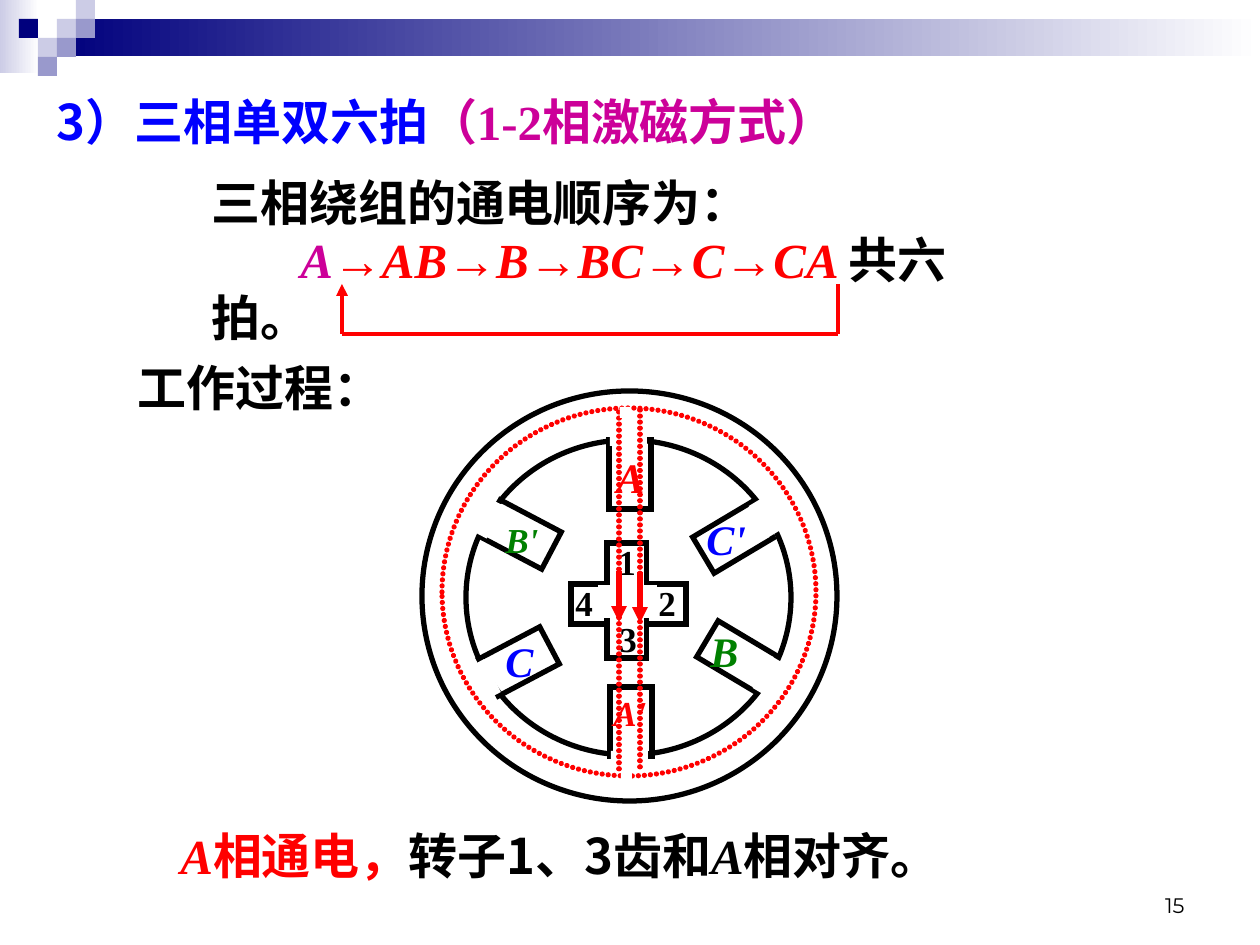
from lxml.etree import SubElement
from pptx import Presentation
from pptx.dml.color import RGBColor
from pptx.enum.shapes import MSO_CONNECTOR as Conn, MSO_SHAPE as Shape
from pptx.enum.text import MSO_ANCHOR as Anchor, PP_ALIGN as Align
from pptx.oxml.ns import qn
from pptx.util import Emu, Pt

HUES = {"ink": "000000", "white": "FFFFFF", "navy": "00007D", "pale": "CCCCE6",
        "mid": "9999CC", "blue": "0000FF", "plum": "CC0099", "red": "FF0000",
        "green": "008000"}
CJK, ROMAN, SANS, PAGE = "Noto Sans CJK SC", "Times New Roman", "Arial", "Montserrat"


def px(n):
    return Emu(round(n * 914400 / 126))


def hue(name):
    return RGBColor.from_string(HUES[name])


def block(slide, kind, x, y, w, h, fill=None, line=None, width=3, turn=0):
    shape = slide.shapes.add_shape(kind, px(x), px(y), px(w), px(h))
    shape.shadow.inherit = False
    shape.rotation = turn
    if isinstance(fill, tuple):
        shape.fill.gradient()
        shape.fill.gradient_angle = 0
        for stop, name, pos in zip(shape.fill.gradient_stops, fill, (0, 1)):
            stop.color.rgb, stop.position = hue(name), pos
    elif fill:
        shape.fill.solid()
        shape.fill.fore_color.rgb = hue(fill)
    else:
        shape.fill.background()
    if line:
        shape.line.color.rgb, shape.line.width = hue(line), Pt(width)
        if kind == Shape.RECTANGLE:
            SubElement(shape.line._get_or_add_ln(), qn("a:miter"), lim="800000")
    else:
        shape.line.fill.background()
    return shape


def link(slide, x1, y1, x2, y2, width=3, head=False):
    line = slide.shapes.add_connector(Conn.STRAIGHT, px(x1), px(y1), px(x2), px(y2))
    line.line.color.rgb, line.line.width = hue("red"), Pt(width)
    if head:
        SubElement(line.line._get_or_add_ln(), qn("a:tailEnd"), type="triangle")
    SubElement(line._element.spPr, qn("a:effectLst"))
    return line


def dot(shape):
    """Draw the line as a row of close round beads."""
    ln = shape.line._get_or_add_ln()
    ln.set("cap", "rnd")
    SubElement(SubElement(ln, qn("a:custDash")), qn("a:ds"), d="100000", sp="15000")


def write(para, runs, size, bold=True):
    for text, font, color, slant in runs:
        run = para.add_run()
        run.text = text
        face = run.font
        face.size, face.bold, face.italic = Pt(size), bold, slant
        face.name, face.color.rgb = font, hue(color)
        SubElement(run._r.get_or_add_rPr(), qn("a:ea"), typeface=CJK)


def note(slide, x, y, w, h, paras, size, pitch=None, bold=True):
    box = slide.shapes.add_textbox(px(x), px(y), px(w), px(h))
    frame = box.text_frame
    frame.word_wrap = True
    for i, runs in enumerate(paras):
        para = frame.add_paragraph() if i else frame.paragraphs[0]
        if pitch:
            para.line_spacing = Pt(pitch)
        write(para, runs, size, bold)
    return frame


def banner(slide, x, y, unit):
    block(slide, Shape.RECTANGLE, x, y, 39, 73, ("pale", "white"))
    block(slide, Shape.RECTANGLE, x + 3 * unit, y + unit, 1203, 37, ("navy", "white"))
    for col, row, color in ((3, 1, "pale"), (4, 0, "pale"), (4, 1, "mid"),
                            (2, 2, "pale"), (1, 1, "navy"), (3, 2, "mid"), (2, 3, "mid")):
        block(slide, Shape.RECTANGLE, x + col * unit, y + row * unit, unit, unit, color)


def heading(slide, x, y, w, h):
    title = slide.shapes.title
    title.left, title.top, title.width, title.height = px(x), px(y), px(w), px(h)
    frame = title.text_frame
    frame.word_wrap, frame.vertical_anchor = True, Anchor.TOP
    para = frame.paragraphs[0]
    para.alignment, para.line_spacing = Align.LEFT, Pt(33)
    write(para, [("3）三相单双六拍", CJK, "blue", False),
                 ("（1-2相激磁方式）", ROMAN, "plum", False)], 28)


def order(slide, x, y, w, h):
    steps = []
    for i, step in enumerate(("A", "AB", "B", "BC", "C", "CA ")):
        if i:
            steps.append(("→", SANS, "red", False))
        steps.append((step, ROMAN, "red" if i else "plum", True))
    steps.append(("共六拍。", CJK, "ink", False))
    frame = note(slide, x, y, w, h,
                 [[("三相绕组的通电顺序为：", CJK, "ink", False)], steps], 28, 33)
    frame.paragraphs[1]._p.get_or_add_pPr().set("indent", str(px(89)))
    # Return path from the last step to the first
    left, right, top, low = x + 143, x + 639, y + 117, y + 167
    link(slide, right, top, right, low, 2.25)
    link(slide, right, low, left, low, 2.25)
    link(slide, left, low, left, top, 2.25, True)


def motor(slide, x, y):
    def part(kind, dx, dy, *rest, **more):
        return block(slide, kind, x + dx, y + dy, *rest, **more)

    def label(text, dx, dy, w, size, color, slant=True):
        note(slide, x + dx, y + dy, w, 55, [[(text, ROMAN, color, slant)]], size)

    # Stator rings and poles, each pole open to the yoke
    part(Shape.OVAL, 44, 49, 325, 315, line="ink")
    part(Shape.OVAL, 0, 0, 415, 410, line="ink")
    for dx, dy, gx, gy, turn in (
            (187, 49, 188, 26, 0), (188, 296, 189, 360, 0),
            (290, 112, 330, 109, 239.2), (78, 109, 42, 110, 297.8),
            (294, 231, 334, 274, 120.8), (76, 236, 39, 277, 62.2)):
        part(Shape.RECTANGLE, dx, dy, 42, 69, line="ink", turn=turn)
        part(Shape.RECTANGLE, gx, gy, 37, 29, "white", turn=turn)
    for mark in (("C", 71, 238, 74, 24, "blue"), ("A'", 179, 294, 74, 20, "red"),
                 ("B", 276, 228, 74, 24, "green"), ("B'", 71, 121, 74, 20, "green"),
                 ("C'", 272, 116, 84, 24, "blue"), ("A", 182, 54, 74, 24, "red")):
        label(*mark)
    # Rotor cross and tooth numbers
    part(Shape.RECTANGLE, 185, 152, 40, 115, line="ink")
    part(Shape.RECTANGLE, 149, 193, 115, 40, line="ink")
    part(Shape.RECTANGLE, 188, 186, 34, 63, "white")
    part(Shape.RECTANGLE, 177, 195, 57, 31, "white", "white", 0.75)
    for text, dx, dy in (("3", 185, 220), ("4", 141, 184), ("1", 184, 143), ("2", 224, 184)):
        label(text, dx, dy, 50, 20, "ink", False)
    # Flux loop
    dot(part(Shape.OVAL, 20, 17, 374, 368, line="red"))
    lanes = ((197, 21, 180), (218, 19, 181))
    for dx, top, _ in lanes:
        dot(link(slide, x + dx, y + top, x + dx, y + top + 362))
    for dx, dy in ((199, 380), (198, 16)):
        part(Shape.RECTANGLE, dx, dy, 11, 11, "white")
    for dx, _, tip in lanes:
        link(slide, x + dx, y + tip, x + dx, y + tip + 51, head=True)


def main():
    deck = Presentation()
    deck.slide_width, deck.slide_height = px(1260), px(945)
    slide = deck.slides.add_slide(deck.slide_layouts[5])
    banner(slide, 0, 0, 19)
    heading(slide, 44, 86, 942, 72)
    order(slide, 199, 167, 800, 131)
    note(slide, 125, 352, 270, 72, [[("工作过程：", CJK, "ink", False)]], 28, 33)
    motor(slide, 422, 391)
    note(slide, 168, 820, 790, 72, [[
        ("A", ROMAN, "red", True), ("相通电，", CJK, "red", False),
        ("转子1、3齿和", CJK, "ink", False), ("A", ROMAN, "ink", True),
        ("相对齐。", CJK, "ink", False)]], 28, 33)
    # Page number
    page = note(slide, 903, 861, 294, 63, [[("15", PAGE, "ink", False)]], 12, bold=False)
    page.vertical_anchor = Anchor.BOTTOM
    page.paragraphs[0].alignment = Align.RIGHT
    deck.save("out.pptx")


if __name__ == "__main__":
    main()
